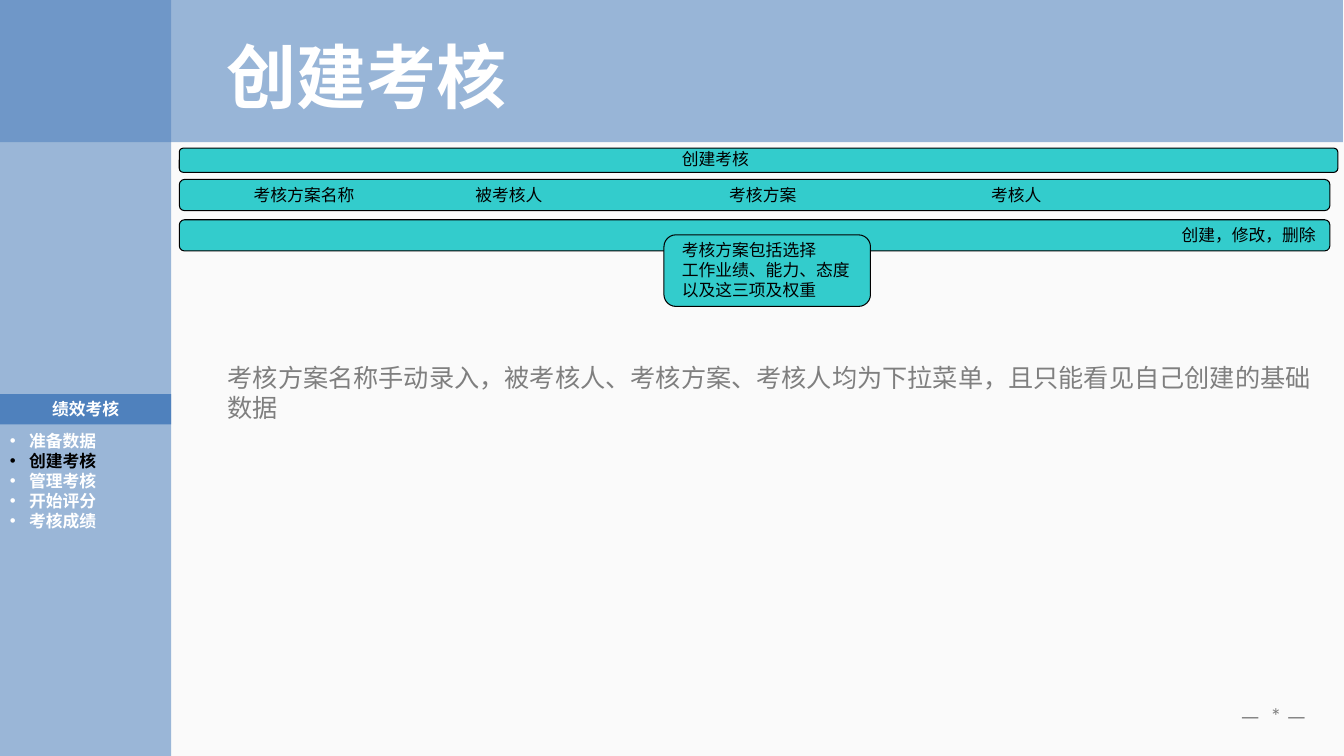
from lxml.etree import SubElement
from pptx import Presentation
from pptx.dml.color import RGBColor
from pptx.enum.shapes import MSO_SHAPE
from pptx.enum.text import MSO_ANCHOR, PP_ALIGN
from pptx.oxml.ns import qn
from pptx.util import Inches, Pt

BLUE = RGBColor(0x4F, 0x81, 0xBD)
TEAL = RGBColor(0x33, 0xCC, 0xCC)
GRAY = RGBColor(0x7F, 0x7F, 0x7F)
BLACK = RGBColor(0, 0, 0)
WHITE = RGBColor(0xFF, 0xFF, 0xFF)
PAPER = RGBColor(0xFA, 0xFA, 0xFA)
PAPER_LIGHT = RGBColor(0xFC, 0xFC, 0xFC)
CJK_FONT = "Noto Sans CJK SC"

TITLE = "创建考核"
SECTION = "绩效考核"
MENU = ["准备数据", "创建考核", "管理考核", "开始评分", "考核成绩"]
NOTE = "考核方案名称手动录入，被考核人、考核方案、考核人均为下拉菜单，且只能看见自己创建的基础数据"
PAGE_MARK = "—  * —"
# Each box: left, top, width, height
BARS = [(1.78, 1.47, 11.5, 0.24), (1.78, 1.78, 11.42, 0.31), (1.78, 2.18, 11.42, 0.31)]
LABELS = [
    (["创建考核"], (6.67, 1.43, 0.86, 0.3)),
    (["考核方案名称"], (2.42, 1.78, 1.2, 0.3)),
    (["被考核人"], (4.62, 1.78, 0.86, 0.3)),
    (["考核方案"], (7.14, 1.78, 0.86, 0.3)),
    (["考核人"], (9.74, 1.78, 0.7, 0.3)),
    (["创建，修改，删除"], (11.63, 2.18, 1.53, 0.3)),
]
CALLOUT_BOX = (6.59, 2.33, 2.05, 0.71)
CALLOUT = (["考核方案包括选择", "工作业绩、能力、态度", "以及这三项及权重"],
           (6.67, 2.33, 1.86, 0.7))

presentation = Presentation()
presentation.slide_width, presentation.slide_height = Inches(13.34), Inches(7.5)
slide = presentation.slides.add_slide(presentation.slide_layouts[5])


def add_box(kind, box, color, opacity=None):
    shape = slide.shapes.add_shape(kind, *map(Inches, box))
    shape.shadow.inherit = False
    shape.fill.solid()
    shape.fill.fore_color.rgb = color
    if opacity:
        color_element = shape.fill._xPr.find(".//" + qn("a:srgbClr"))
        SubElement(color_element, qn("a:alpha"), val=str(opacity * 1000))
    if kind == MSO_SHAPE.ROUNDED_RECTANGLE:
        shape.line.color.rgb = BLACK
        shape.line.width = Pt(0.75)
    else:
        shape.line.fill.background()
    return shape


def write(shape, lines, size, color, font_name=CJK_FONT, bold=False,
          align=PP_ALIGN.LEFT, anchor=MSO_ANCHOR.TOP):
    frame = shape.text_frame
    frame.text = "\n".join(lines)
    frame.word_wrap = True
    frame.vertical_anchor = anchor
    for paragraph in frame.paragraphs:
        paragraph.alignment = align
        font = paragraph.font
        font.name, font.size, font.bold = font_name, Pt(size), bold
        font.color.rgb = color
    return frame


def add_text(box, lines, size, color, **style):
    return write(slide.shapes.add_textbox(*map(Inches, box)), lines, size, color, **style)


def add_label(lines, box):
    """Small form text; the right margin is given up so each line fits."""
    add_text(box, lines, 12, BLACK).margin_right = 0


def add_bullet(paragraph, color):
    properties = paragraph._p.get_or_add_pPr()
    properties.set("marL", str(Inches(0.19)))
    properties.set("indent", str(-Inches(0.19)))
    bullet_color = properties.makeelement(qn("a:buClr"), {})
    SubElement(bullet_color, qn("a:srgbClr"), val=str(color))
    bullet_font = properties.makeelement(qn("a:buFont"), {"typeface": "Arial"})
    bullet = properties.makeelement(qn("a:buChar"), {"char": "•"})
    for position, element in enumerate((bullet_color, bullet_font, bullet)):
        properties.insert(position, element)


background = slide.background.fill
background.gradient()
background.gradient_angle = 270
for stop, color in zip(background.gradient_stops, (PAPER, PAPER_LIGHT)):
    stop.color.rgb = color

# Sidebar and header
add_box(MSO_SHAPE.RECTANGLE, (0, 0, 1.7, 7.5), BLUE, opacity=56)
section = add_box(MSO_SHAPE.RECTANGLE, (0, 3.91, 1.7, 0.3), BLUE)
write(section, [SECTION], 12, WHITE, font_name="Arial", bold=True,
      align=PP_ALIGN.CENTER)
add_box(MSO_SHAPE.RECTANGLE, (0, 0, 13.33, 1.41), BLUE, opacity=57)

menu = add_text((0, 4.22, 1.7, 1.1), MENU, 12, WHITE, font_name="Arial", bold=True)
for paragraph in menu.paragraphs:
    color = BLACK if paragraph.text == TITLE else WHITE
    paragraph.font.color.rgb = color
    add_bullet(paragraph, color)

title = slide.shapes.title
title.left, title.top, title.width, title.height = map(Inches, (2.02, 0.28, 3.23, 0.94))
write(title, [TITLE], 50, WHITE, font_name="Arial", bold=True, align=PP_ALIGN.CENTER)
slide.shapes._spTree.append(title._element)  # bring the title in front of the header

# Form mock-up
for bar in BARS:
    add_box(MSO_SHAPE.ROUNDED_RECTANGLE, bar, TEAL)
for lines, box in LABELS:
    add_label(lines, box)
add_box(MSO_SHAPE.ROUNDED_RECTANGLE, CALLOUT_BOX, TEAL)
add_label(*CALLOUT)

note = add_text((2.26, 3.59, 10.87, 0.6), [NOTE], 18, GRAY,
                font_name="Arial Narrow", anchor=MSO_ANCHOR.MIDDLE)
note.margin_left = note.margin_right = note.margin_top = note.margin_bottom = 0
add_text((12.21, 6.92, 0.91, 0.37), [PAGE_MARK], 16, GRAY, font_name="Calibri")

presentation.save("out.pptx")
